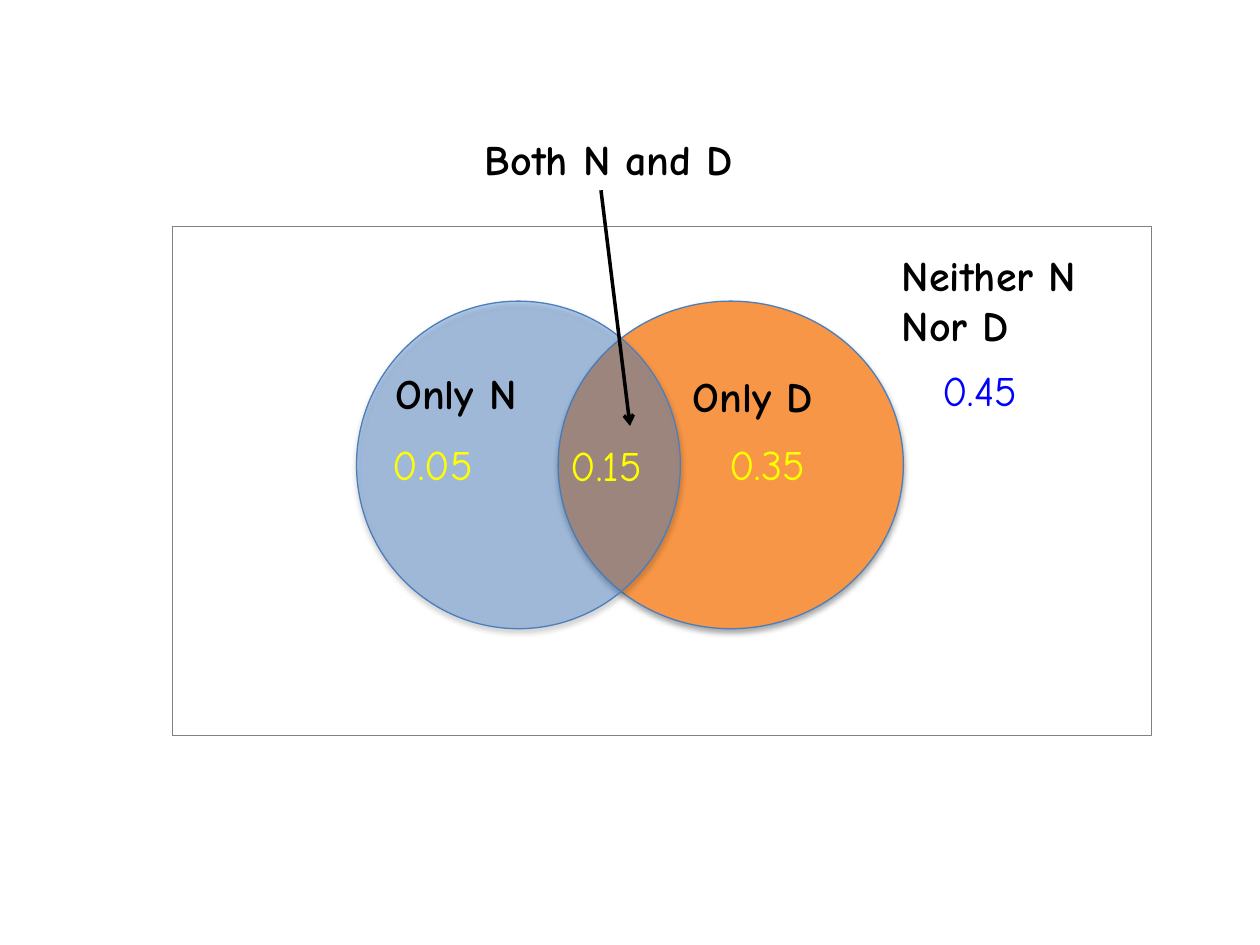
import pptx
import pptx.dml.color
import pptx.enum.shapes
import pptx.enum.text
import pptx.oxml.ns
import pptx.util
from lxml import etree

SLIDE_WIDTH = pptx.util.Inches(10)
SLIDE_HEIGHT = pptx.util.Inches(7.5)
# The layout grid has 100 columns and 75 rows
COLUMN = SLIDE_WIDTH / 100
ROW = SLIDE_HEIGHT / 75
FONT = "Comic Neue"
COLORS = {
    "label": "000000",
    "inside": "FFFF00",
    "outside": "0000FF",
    "n_set": "558ED5",
    "d_set": "F79646",
    "outline": "4B7EBC",
    "frame": "808080",
}
CIRCLE_TOP, CIRCLE_HEIGHT = 23.9, 26
LABEL_HEIGHT = 5

# Labels: text, column, row, width
LABELS = [
    ("Only N", 30.4, 28.7, 14),
    ("Only D", 54, 28.9, 14),
    ("Both N and D", 37.5, 10.1, 25.1),
]
# Probabilities: text, column, row, colour
PROBABILITIES = [
    ("0.05", 30.2, 34.3, "inside"),
    ("0.15", 44.3, 34.4, "inside"),
    ("0.35", 56.9, 34.3, "inside"),
    ("0.45", 73.8, 28.4, "outside"),
]


def rgb(name):
    return pptx.dml.color.RGBColor.from_string(COLORS[name])


def place(column, row, width, height):
    return (round(column * COLUMN), round(row * ROW),
            round(width * COLUMN), round(height * ROW))


def add_xml(parent, tag, **attributes):
    return etree.SubElement(parent, pptx.oxml.ns.qn(tag), attributes)


def add_text(group, text, column, row, width, height=LABEL_HEIGHT,
             color="label", bold=False, size=24):
    shape = group.shapes.add_textbox(*place(column, row, width, height))
    frame = shape.text_frame
    frame.word_wrap = True
    frame.auto_size = pptx.enum.text.MSO_AUTO_SIZE.SHAPE_TO_FIT_TEXT
    frame.text = text
    for paragraph in frame.paragraphs:
        font = paragraph.runs[0].font
        font.name = FONT
        font.size = pptx.util.Pt(size)
        font.bold = bold
        font.color.rgb = rgb(color)


def add_outlined(group, kind, position, line, fill=None):
    shape = group.shapes.add_shape(kind, *place(*position))
    shape.shadow.inherit = False
    shape.line.color.rgb = rgb(line)
    shape.line.width = pptx.util.Pt(0.75)
    if fill:
        shape.fill.solid()
        shape.fill.fore_color.rgb = rgb(fill)
    else:
        shape.fill.background()
    return shape


def add_set(group, column, width, fill, opacity=None):
    shape = add_outlined(group, pptx.enum.shapes.MSO_SHAPE.OVAL,
                         (column, CIRCLE_TOP, width, CIRCLE_HEIGHT),
                         "outline", fill)
    properties = shape._element.spPr
    if opacity:
        color = properties.find(pptx.oxml.ns.qn("a:solidFill"))[0]
        add_xml(color, "a:alpha", val=str(opacity * 1000))
    # Soft shadow straight below
    effects = properties.find(pptx.oxml.ns.qn("a:effectLst"))
    shadow = add_xml(effects, "a:outerShdw", blurRad="40000", dist="23000",
                     dir="5400000", rotWithShape="0")
    black = add_xml(shadow, "a:srgbClr", val="000000")
    add_xml(black, "a:alpha", val="35000")


def add_arrow(group, start, end):
    x1, y1, x2, y2 = place(*start, *end)
    connector = group.shapes.add_connector(
        pptx.enum.shapes.MSO_CONNECTOR.STRAIGHT, x1, y1, x2, y2)
    connector.line.color.rgb = rgb("label")
    connector.line.width = pptx.util.Pt(2)
    add_xml(connector.line._get_or_add_ln(), "a:tailEnd", type="arrow")
    add_xml(connector._element.spPr, "a:effectLst")


def main():
    presentation = pptx.Presentation()
    presentation.slide_width = SLIDE_WIDTH
    presentation.slide_height = SLIDE_HEIGHT
    slide = presentation.slides.add_slide(presentation.slide_layouts[6])
    diagram = slide.shapes.add_group_shape()

    # Sample space and the two sets
    add_set(diagram, 44.3, 27.4, "d_set")
    add_outlined(diagram, pptx.enum.shapes.MSO_SHAPE.RECTANGLE,
                 (13.7, 18, 77.7, 40.4), "frame")
    add_set(diagram, 28.3, 25.7, "n_set", opacity=43)

    # Labels, with an arrow to the overlap
    for text, column, row, width in LABELS:
        add_text(diagram, text, column, row, width, bold=True)
    add_arrow(diagram, (47.7, 15.1), (50, 33.8))
    add_text(diagram, "Neither N \nNor D", 70.6, 19.3, 19.6, 9.1, bold=True)

    # Probabilities
    for text, column, row, color in PROBABILITIES:
        add_text(diagram, text, column, row, 11.5, color=color)

    presentation.save("out.pptx")


main()
